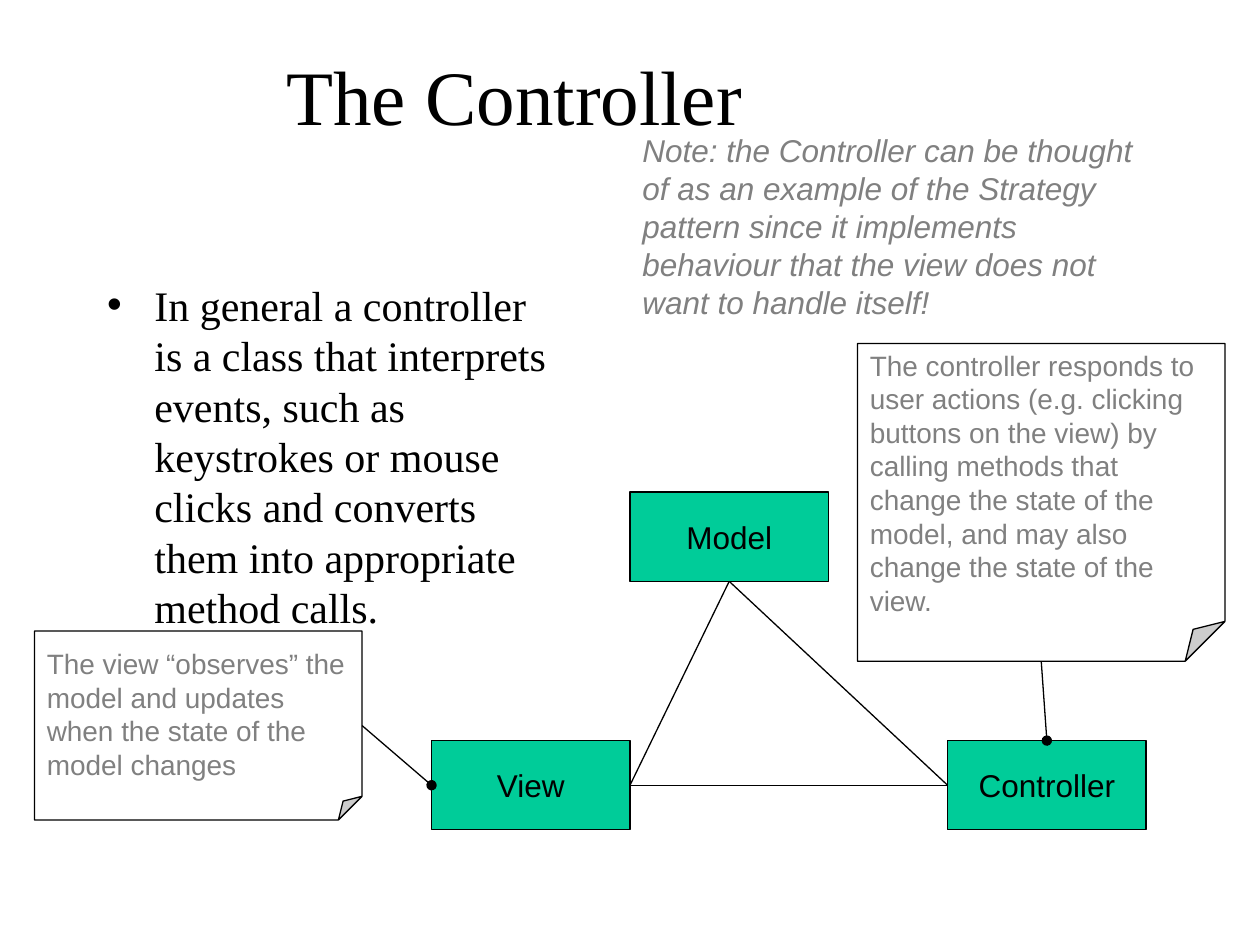
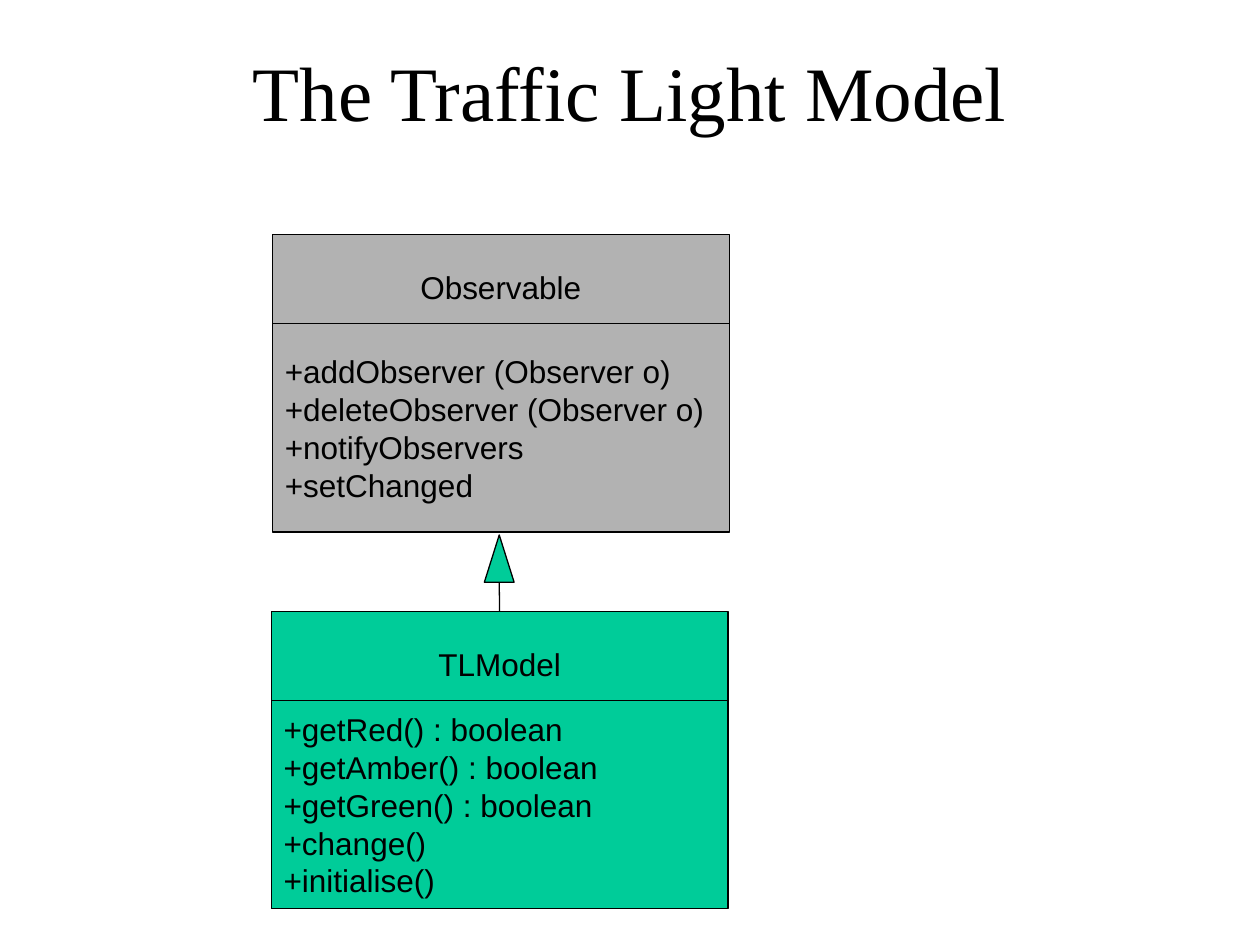
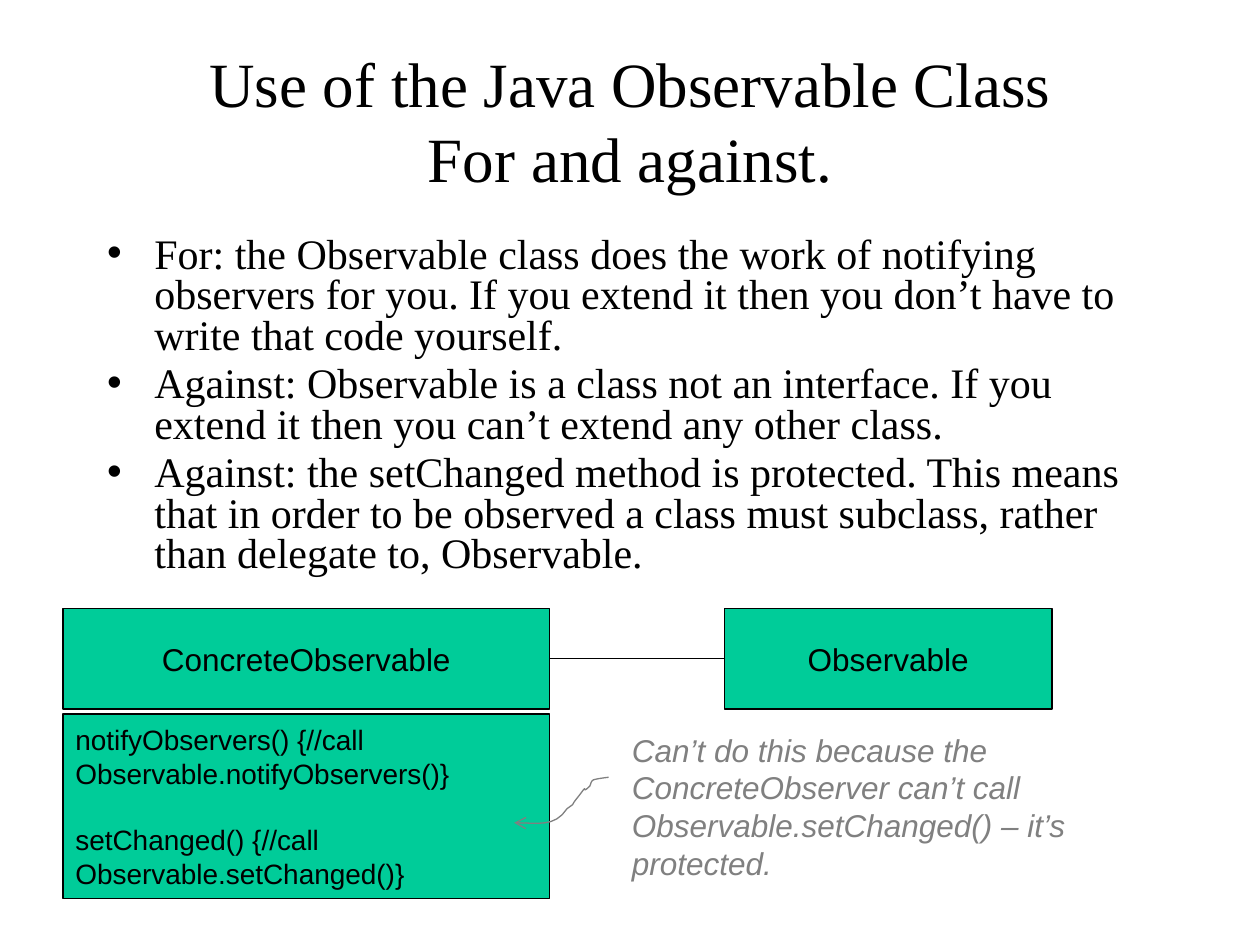
from dataclasses import dataclass

from pptx import Presentation
from pptx.dml.color import RGBColor
from pptx.enum import shapes, text
from pptx.oxml import xmlchemy
from pptx.util import Pt


@dataclass(frozen=True)
class Theme:
    serif: str = "Times New Roman"
    sans: str = "Arial"
    black: str = "000000"
    white: str = "FFFFFF"
    grey: str = "808080"
    silver: str = "B2B2B2"
    green: str = "00CC99"
    title: float = 44
    long_title: float = 36
    body: float = 24
    label: float = 18
    small: float = 16
    line: float = 0.75


THEME = Theme()
TITLE_AND_BODY, TITLE_ONLY = 1, 5
TOP, LEFT, BOTTOM, RIGHT = range(4)
TITLE_AREA = (36, 21.6, 648, 90)

# Areas are (left, top, width, height) in points.
CONTROLLER = {
    "title": "The Controller",
    "title_area": (30, 24, 528, 66),
    "body": ["In general a controller is a class that interprets events, such as "
             "keystrokes or mouse clicks and converts them into appropriate method calls."],
    "body_area": (54, 156, 274, 222.5),
    "part_size": (113.4, 51),
    "parts": {"Model": (360, 281.2), "Controller": (541.5, 423.2), "View": (246.6, 423.2)},
    "links": [("View", RIGHT, "Model", BOTTOM), ("Controller", LEFT, "Model", BOTTOM),
              ("View", RIGHT, "Controller", LEFT)],
    "notes": [
        ("The view “observes” the model and updates when the state of the model changes",
         (19.7, 360.6, 187.2, 108), RIGHT, "View", LEFT),
        ("The controller responds to user actions (e.g. clicking buttons on the view) by "
         "calling methods that change the state of the model, and may also change the "
         "state of the view.",
         (490, 196.3, 210, 181.5), BOTTOM, "Controller", TOP),
    ],
    "remark": "Note: the Controller can be thought of as an example of the Strategy pattern "
              "since it implements behaviour that the view does not want to handle itself!",
    "remark_area": (360, 71.5, 295, 115),
}

TRAFFIC_LIGHT = {
    "title": "The Traffic Light Model",
    "classes": [
        ("Observable", (155.7, 134), THEME.silver,
         ["+addObserver (Observer o)", "+deleteObserver (Observer o)",
          "+notifyObservers", "+setChanged"]),
        ("TLModel", (155, 349.4), THEME.green,
         ["+getRed() : boolean", "+getAmber() : boolean", "+getGreen() : boolean",
          "+change()", "+initialise()"]),
    ],
    "class_width": 261,
    "name_height": 59.5,
    "members_offset": 51,
    "members_height": 119,
    "triangle": (276.8, 305.7, 17, 27),
}

FOR_AND_AGAINST = {
    "title": "Use of the Java Observable Class\vFor and against.",
    "body": [
        "For: the Observable class does the work of notifying observers for you. If you "
        "extend it then you don’t have to write that code yourself.",
        "Against: Observable is a class not an interface. If you extend it then you can’t "
        "extend any other class.",
        "Against: the setChanged method is protected. This means that in order to be "
        "observed a class must subclass, rather than delegate to, Observable.",
    ],
    "body_area": (54, 132, 612, 216.5),
    "classes": [("ConcreteObservable", (36, 347.7, 278, 57.4)),
                ("Observable", (414, 347.7, 187.2, 57.4))],
    "code": ["notifyObservers() {//call Observable.notifyObservers()}",
             "setChanged() {//call Observable.setChanged()}"],
    "code_area": (36, 408, 278, 105.5),
    "code_gap": 19,
    "remark": "Can’t do this because the ConcreteObserver can’t call "
              "Observable.setChanged() – it’s protected.",
    "remark_area": (354, 414, 295, 94),
    "pointer_start": (347.8, 444.2),
    "pointer_curves": [  # two control points and an end for each curve
        ((347.8, 444.2), (340.6, 445), (339.1, 445.7)),
        ((337.7, 446.4), (337.7, 447.8), (337, 449.3)),
        ((331.2, 455), (337, 446.4), (331.2, 454.3)),
        ((324.7, 462.2), (329.8, 457.9), (324, 462.2)),
        ((316.8, 473), (307.4, 470.2), (293.8, 470.2)),
    ],
}


def color(value):
    return RGBColor.from_string(value)


def points(values):
    return [Pt(value) for value in values]


def add_xml(parent, tag, **attributes):
    element = xmlchemy.OxmlElement(tag)
    for name, value in attributes.items():
        element.set(name, value)
    parent.append(element)


def write(shape, lines, *, size=THEME.label, font=THEME.sans, ink=THEME.black, italic=False,
          align=None, anchor=text.MSO_ANCHOR.TOP, spacing=None, gap=None):
    frame = shape.text_frame
    frame.text = "\n".join(lines)
    frame.word_wrap = True
    frame.auto_size = text.MSO_AUTO_SIZE.NONE
    frame.vertical_anchor = anchor
    for index, para in enumerate(frame.paragraphs):
        para.alignment = align
        para.line_spacing = spacing
        if gap is not None and index:
            para.space_before = Pt(gap)
        for span in para.runs:
            span.font.name = font
            span.font.size = Pt(size)
            span.font.italic = italic
            span.font.color.rgb = color(ink)


def place(shape, area):
    shape.left, shape.top, shape.width, shape.height = points(area)


def draw_line(shape, ink=THEME.black):
    shape.line.color.rgb = color(ink)
    shape.line.width = Pt(THEME.line)


def add_end(shape, end, kind):
    """Put an arrowhead on a drawn line; end is headEnd or tailEnd."""
    add_xml(shape.element.xpath("./p:spPr/a:ln")[0], f"a:{end}", type=kind)


def add_page(deck, content, layout, title_size=THEME.title, **body_format):
    page = deck.slides.add_slide(deck.slide_layouts[layout])
    place(page.shapes.title, content.get("title_area", TITLE_AREA))
    write(page.shapes.title, [content["title"]], size=title_size, font=THEME.serif,
          align=text.PP_ALIGN.CENTER)
    if "body" in content:
        body = page.placeholders[1]
        place(body, content["body_area"])
        write(body, content["body"], size=THEME.body, font=THEME.serif, **body_format)
    return page


def add_box(page, area, lines=(), *, kind=shapes.MSO_SHAPE.RECTANGLE, fill=THEME.green,
            align=text.PP_ALIGN.CENTER, **text_format):
    box = page.shapes.add_shape(kind, *points(area))
    box.shadow.inherit = False
    box.fill.solid()
    box.fill.fore_color.rgb = color(fill)
    draw_line(box)
    if lines:
        write(box, lines, align=align, anchor=text.MSO_ANCHOR.MIDDLE, **text_format)
    return box


def add_note(page, area, words):
    note = add_box(page, area, [words], kind=shapes.MSO_SHAPE.FOLDED_CORNER, fill=THEME.white,
                   align=text.PP_ALIGN.LEFT, size=THEME.small, ink=THEME.grey)
    add_xml(note.element.xpath(".//a:avLst")[0], "a:gd", name="adj", fmla="val 12500")
    return note


def add_link(page, end_box, end_side, *, start_box=None, start_side=None, start=(0, 0),
             head=None):
    """Join two boxes, or a free point and a box."""
    link = page.shapes.add_connector(shapes.MSO_CONNECTOR.STRAIGHT, *points(start * 2))
    if start_box is not None:
        link.begin_connect(start_box, start_side)
    link.end_connect(end_box, end_side)
    draw_line(link)
    if head:
        add_end(link, "headEnd", head)
    add_xml(link.element.spPr, "a:effectLst")


def add_remark(page, content):
    remark = page.shapes.add_textbox(*points(content["remark_area"]))
    write(remark, [content["remark"]], ink=THEME.grey, italic=True)


def curve_points(start, curves, steps=8):
    """Sample a chain of cubic curves."""
    for first, second, end in curves:
        for step in range(1, steps + 1):
            t = step / steps
            weights = ((1 - t) ** 3, 3 * t * (1 - t) ** 2, 3 * t * t * (1 - t), t ** 3)
            yield tuple(sum(w * p[axis] for w, p in zip(weights, (start, first, second, end)))
                        for axis in (0, 1))
        start = end


def add_pointer(page, start, curves):
    outline = page.shapes.build_freeform(*points(start))
    outline.add_line_segments([points(point) for point in curve_points(start, curves)],
                              close=False)
    pointer = outline.convert_to_shape()
    pointer.shadow.inherit = False
    pointer.fill.background()
    draw_line(pointer, THEME.grey)
    add_end(pointer, "tailEnd", "arrow")


def build_controller(deck, content):
    page = add_page(deck, content, TITLE_AND_BODY)
    parts = {name: add_box(page, corner + content["part_size"], [name])
             for name, corner in content["parts"].items()}
    for start, start_side, end, end_side in content["links"]:
        add_link(page, parts[end], end_side, start_box=parts[start], start_side=start_side)
    for words, area, side, part, part_side in content["notes"]:
        note = add_note(page, area, words)
        add_link(page, note, side, start_box=parts[part], start_side=part_side, head="oval")
    add_remark(page, content)


def build_traffic_light(deck, content):
    page = add_page(deck, content, TITLE_ONLY)
    width = content["class_width"]
    names = {}
    for name, (left, top), fill, members in content["classes"]:
        names[name] = add_box(page, (left, top, width, content["name_height"]), [name],
                              fill=fill)
        add_box(page, (left, top + content["members_offset"], width, content["members_height"]),
                members, fill=fill, align=text.PP_ALIGN.LEFT)
    left, top, width, height = content["triangle"]
    add_box(page, content["triangle"], kind=shapes.MSO_SHAPE.ISOSCELES_TRIANGLE)
    add_link(page, names["TLModel"], TOP, start=(left + width / 2, top + height))


def build_for_and_against(deck, content):
    page = add_page(deck, content, TITLE_AND_BODY, THEME.long_title, spacing=0.8, gap=4.8)
    concrete, observable = [add_box(page, area, [name]) for name, area in content["classes"]]
    add_link(page, observable, LEFT, start_box=concrete, start_side=RIGHT)
    add_remark(page, content)
    add_box(page, content["code_area"], content["code"], align=text.PP_ALIGN.LEFT,
            size=THEME.small, gap=content["code_gap"])
    add_pointer(page, content["pointer_start"], content["pointer_curves"])


def main():
    deck = Presentation()
    deck.slide_width, deck.slide_height = Pt(720), Pt(540)
    build_controller(deck, CONTROLLER)
    build_traffic_light(deck, TRAFFIC_LIGHT)
    build_for_and_against(deck, FOR_AND_AGAINST)
    deck.save("out.pptx")


if __name__ == "__main__":
    main()
